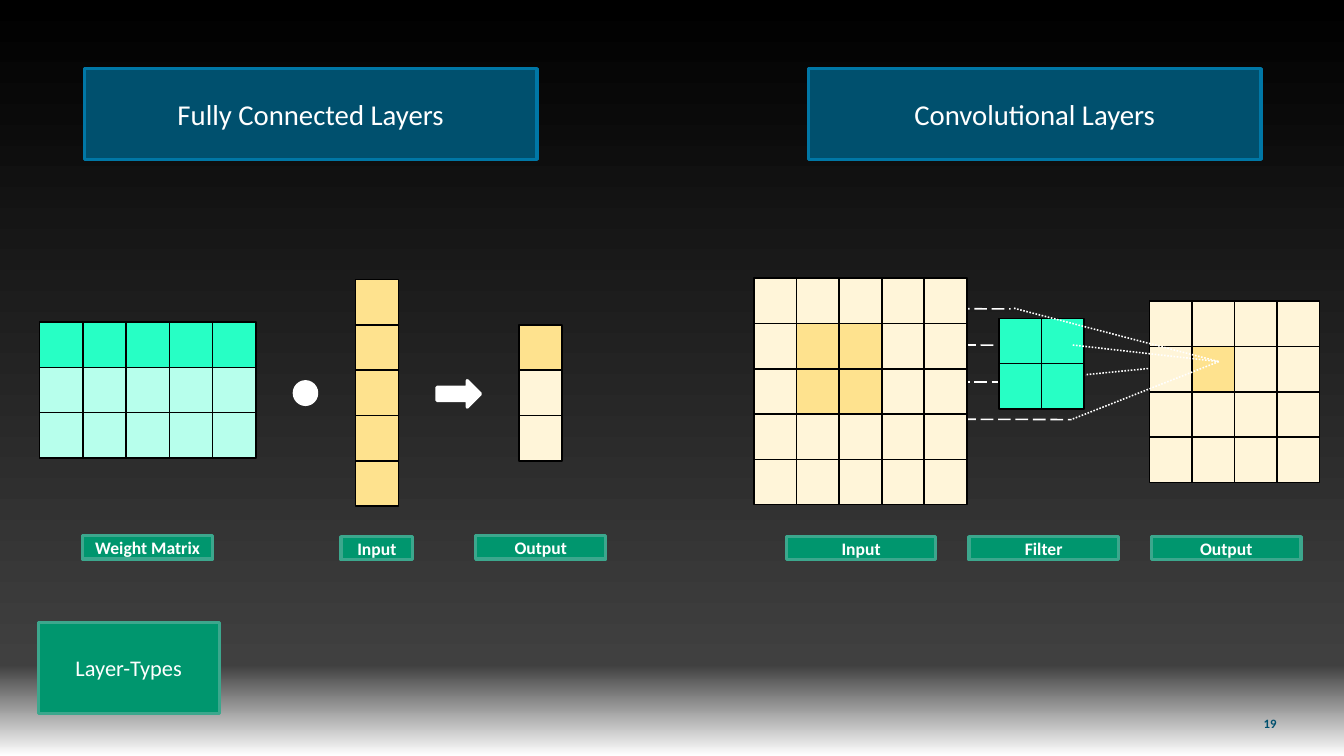
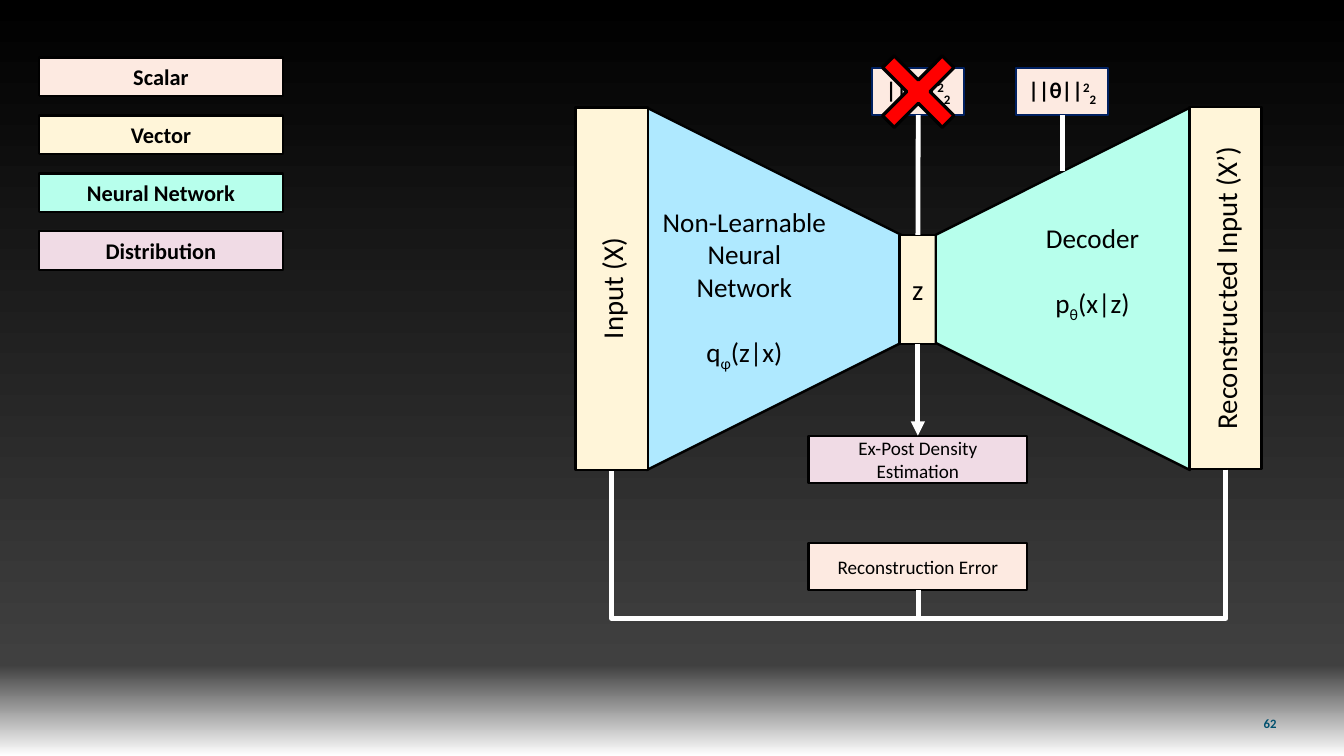
"""Build two slides: neural layer types and a regularised autoencoder diagram."""
from copy import deepcopy
from dataclasses import dataclass

from lxml.etree import SubElement
from pptx import Presentation
from pptx.dml.color import RGBColor
from pptx.enum.dml import MSO_LINE
from pptx.enum.shapes import MSO_CONNECTOR, MSO_SHAPE
from pptx.enum.text import MSO_ANCHOR, PP_ALIGN
from pptx.oxml.ns import qn
from pptx.presentation import Presentation as Deck
from pptx.shapes.autoshape import Shape
from pptx.shapes.connector import Connector
from pptx.slide import Slide
from pptx.util import Pt

FONT = "Calibri"
BLACK = RGBColor(0x00, 0x00, 0x00)
WHITE = RGBColor(0xFF, 0xFF, 0xFF)
CHARCOAL = RGBColor(0x40, 0x40, 0x40)
PETROL = RGBColor(0x00, 0x50, 0x6E)
PETROL_EDGE = RGBColor(0x00, 0x77, 0xA6)
GREEN = RGBColor(0x00, 0x96, 0x6E)
GREEN_EDGE = RGBColor(0x3C, 0xA7, 0x8D)
NAVY = RGBColor(0x00, 0x20, 0x60)
GOLD = RGBColor(0xFE, 0xE2, 0x8E)
CREAM = RGBColor(0xFF, 0xF5, 0xD9)
TEAL = RGBColor(0x27, 0xFF, 0xC5)
MINT = RGBColor(0xB7, 0xFF, 0xEC)
PINK = RGBColor(0xF0, 0xDB, 0xE5)
PEACH = RGBColor(0xFD, 0xEA, 0xE1)
SKY = RGBColor(0xAF, 0xE9, 0xFF)
RED = RGBColor(0xFF, 0x00, 0x00)

BACKDROP = ((0, BLACK), (0.88, CHARCOAL), (1, WHITE))
CELL_H = 28.35
LINE_GAP = 20.4


@dataclass(frozen=True)
class Style:
    fill: RGBColor
    edge: RGBColor = BLACK
    weight: float = 1.5
    size: float = 18
    color: RGBColor = BLACK
    bold: bool = False


@dataclass(frozen=True)
class Box:
    x: float
    y: float
    w: float
    h: float
    style: Style
    text: str = ""
    vert: str = "horz"
    kind: MSO_SHAPE = MSO_SHAPE.RECTANGLE
    rotation: float = 0
    adj: float | None = None


@dataclass(frozen=True)
class Grid:
    x: float
    y: float
    cols: int
    rows: int
    cell_w: float
    fill: RGBColor
    accent: RGBColor
    accent_cells: tuple[tuple[int, int], ...] = ()


@dataclass(frozen=True)
class Line:
    x1: float
    y1: float
    x2: float
    y2: float
    weight: float = 3
    dash: MSO_LINE | None = None


@dataclass(frozen=True)
class Part:
    text: str
    baseline: int = 0
    spacing: int = 0


HEADER = Style(PETROL, PETROL_EDGE, 2, 18, WHITE)
TAG = Style(GREEN, GREEN_EDGE, 2, 14, WHITE)
LABEL = Style(GREEN, GREEN_EDGE, 2, 11, WHITE, True)
SYMBOL = Style(WHITE, WHITE, 2)
VECTOR = Style(CREAM)
NORM = Style(PEACH, NAVY, size=14, bold=True)
ENCODER = Style(SKY, size=17)
DECODER = Style(MINT, size=17)


def set_background(prs: Deck) -> None:
    fill = prs.slide_master.background.fill
    fill.gradient()
    fill.gradient_angle = 270
    stops = prs.slide_master.element.find(".//" + qn("a:gsLst"))
    stops.append(deepcopy(stops[-1]))
    for stop, (position, color) in zip(fill.gradient_stops, BACKDROP):
        stop.position = position
        stop.color.rgb = color


def format_runs(p, style: Style) -> None:
    p.alignment = PP_ALIGN.CENTER
    for r in p.runs:
        r.font.name = FONT
        r.font.size = Pt(style.size)
        r.font.bold = style.bold
        r.font.color.rgb = style.color


def add_box(s: Slide, box: Box) -> Shape:
    sp = s.shapes.add_shape(box.kind, Pt(box.x), Pt(box.y), Pt(box.w), Pt(box.h))
    sp.rotation = box.rotation
    sp.shadow.inherit = False
    sp.fill.solid()
    sp.fill.fore_color.rgb = box.style.fill
    sp.line.color.rgb = box.style.edge
    sp.line.width = Pt(box.style.weight)
    if box.adj is not None:
        sp.adjustments[0] = box.adj
    tf = sp.text_frame
    tf.word_wrap = True
    tf.vertical_anchor = MSO_ANCHOR.MIDDLE
    tf.text = box.text
    format_runs(tf.paragraphs[0], box.style)
    if box.vert != "horz":
        sp.element.find(".//" + qn("a:bodyPr")).set("vert", box.vert)
    return sp


def add_formula(p, style: Style, parts: tuple[Part, ...]) -> None:
    for part in parts:
        r = p.add_run()
        r.text = part.text
        rPr = r._r.get_or_add_rPr()
        if part.baseline:
            rPr.set("baseline", str(part.baseline * 1000))
        if part.spacing:
            rPr.set("spc", str(part.spacing * 100))
    format_runs(p, style)


def add_grid(s: Slide, grid: Grid) -> None:
    for row in range(grid.rows):
        for col in range(grid.cols):
            fill = grid.accent if (row, col) in grid.accent_cells else grid.fill
            add_box(s, Box(grid.x + col * grid.cell_w, grid.y + row * CELL_H,
                           grid.cell_w, CELL_H, Style(fill, weight=1)))


def style_line(cxn: Connector, line: Line) -> None:
    cxn.line.color.rgb = WHITE
    cxn.line.width = Pt(line.weight)
    if line.dash is not None:
        cxn.line.dash_style = line.dash
    SubElement(cxn.element.spPr, qn("a:effectLst"))


def add_line(s: Slide, line: Line) -> Connector:
    cxn = s.shapes.add_connector(MSO_CONNECTOR.STRAIGHT, Pt(line.x1), Pt(line.y1),
                                 Pt(line.x2), Pt(line.y2))
    style_line(cxn, line)
    return cxn


def add_elbow(s: Slide, line: Line, low_y: float) -> None:
    w, h = line.y2 - line.y1, abs(line.x2 - line.x1)
    x = (line.x1 + line.x2 - w) / 2
    y = (line.y1 + line.y2 - h) / 2
    cxn = s.shapes.add_connector(MSO_CONNECTOR.ELBOW, Pt(x), Pt(y), Pt(x + w), Pt(y + h))
    style_line(cxn, line)
    rightward = line.x2 > line.x1
    xfrm = cxn.element.spPr.find(qn("a:xfrm"))
    xfrm.set("rot", str((270 if rightward else 90) * 60000))
    if rightward:
        xfrm.set("flipH", "1")
    bend = round((low_y - line.y1) / w * 100000)
    SubElement(cxn.element.find(".//" + qn("a:avLst")), qn("a:gd"),
               name="adj1", fmla=f"val {bend}")


def add_slide(prs: Deck, number: str) -> Slide:
    s = prs.slides.add_slide(prs.slide_layouts[6])
    tf = s.shapes.add_textbox(Pt(791.3), Pt(442.3), Pt(26), Pt(21)).text_frame
    tf.word_wrap = True
    tf.margin_left = tf.margin_right = 0
    tf.vertical_anchor = MSO_ANCHOR.MIDDLE
    p = tf.paragraphs[0]
    p.text = number
    format_runs(p, Style(WHITE, size=8, color=PETROL, bold=True))
    p.alignment = PP_ALIGN.LEFT
    return s


def build_layer_types(prs: Deck) -> None:
    s = add_slide(prs, "19")
    add_box(s, Box(23.9, 389.8, 113.4, 56.8, TAG, "Layer-Types"))
    for x, text in ((52.8, "Fully Connected Layers"), (506.2, "Convolutional Layers")):
        add_box(s, Box(x, 43, 283.5, 56.8, HEADER, text))
    for x, y, w, text in ((213.5, 336, 45, "Input"), (51.6, 335.5, 81.6, "Weight Matrix"),
                          (297.8, 335.5, 81.6, "Output")):
        add_box(s, Box(x, y, w, 14.5, LABEL, text))
    for i, text in enumerate(("Input", "Filter", "Output")):
        add_box(s, Box(492.5 + i * 114.3, 336, 93.6, 14.5, LABEL, text))

    for grid in (
        Grid(222.5, 175.1, 1, 5, 27, GOLD, GOLD),
        Grid(24.8, 201.7, 5, 3, 27.1, MINT, TEAL, tuple((0, col) for col in range(5))),
        Grid(325, 203.5, 1, 3, 27.1, CREAM, GOLD, ((0, 0),)),
    ):
        add_grid(s, grid)
    add_box(s, Box(184.3, 239, 14, 14.2, SYMBOL, kind=MSO_SHAPE.OVAL))
    add_box(s, Box(273.6, 238.3, 27.3, 16.6, SYMBOL, kind=MSO_SHAPE.RIGHT_ARROW))

    for x1, y1, x2, y2 in ((548.6, 262.3, 671, 262.7), (511.9, 239.1, 632.9, 239.1),
                           (548.6, 215.6, 671, 216.4), (511.9, 193, 632.9, 193.4)):
        add_line(s, Line(x1, y1, x2, y2, 1, MSO_LINE.LONG_DASH))
    rays = [Line(x, y, 763.2, 226.4, 1, MSO_LINE.ROUND_DOT)
            for x, y in ((635, 239), (635, 193), (671.8, 216), (671.8, 262.3))]
    add_line(s, rays[0])
    for grid in (
        Grid(472.2, 174.2, 5, 5, 26.65, CREAM, GOLD, ((1, 1), (1, 2), (2, 1), (2, 2))),
        Grid(625.7, 199.3, 2, 2, 26.65, TEAL, TEAL),
        Grid(719.8, 188.6, 4, 4, 26.65, CREAM, GOLD, ((1, 1),)),
    ):
        add_grid(s, grid)
    for ray in rays[1:]:
        add_line(s, ray)


def build_autoencoder(prs: Deck) -> None:
    s = add_slide(prs, "62")
    legend = (("Scalar", PEACH), ("Vector", CREAM), ("Neural Network", MINT),
              ("Distribution", PINK))
    for i, (text, fill) in enumerate(legend):
        add_box(s, Box(24.4, 35.9 + i * 36.3, 152.8, 24.4, Style(fill, size=14, bold=True), text))

    encoder = add_box(s, Box(371.3, 101.3, 226.8, 159.1, ENCODER,
                             "Non-Learnable Neural Network", "vert270",
                             MSO_SHAPE.TRAPEZOID, 90, 0.5))
    latent = add_box(s, Box(563.4, 147.1, 22.8, 68.2, VECTOR, "z"))
    decoder = add_box(s, Box(552.1, 101.3, 226.8, 159.1, DECODER, "Decoder", "vert",
                             MSO_SHAPE.TRAPEZOID, 270, 0.5))
    decoder.text_frame.margin_left = Pt(3.6 + LINE_GAP)
    for sp, style, letter, sub, rest in ((encoder, ENCODER, "q", "φ", "(z|x)"),
                                         (decoder, DECODER, "p", "θ", "(x|z)")):
        p = sp.text_frame.add_paragraph()
        p.space_before = Pt(LINE_GAP)
        add_formula(p, style, (Part(letter), Part(sub, -25), Part(rest)))

    add_box(s, Box(744.8, 66.9, 45.3, 226.8, VECTOR, "Reconstructed Input (X’)", "vert270"))
    add_box(s, Box(506.4, 340, 136.8, 29.5, Style(PEACH, size=12), "Reconstruction Error"))
    for x in (382.9, 767.5):
        add_elbow(s, Line(x, 294.1, 574.9, 369.5), 387.3)
    add_box(s, Box(360.3, 67.3, 45.4, 226.8, VECTOR, "Input (X)", "vert270"))
    density = add_box(s, Box(506.4, 272.8, 136.8, 29.5, Style(PINK, size=12),
                             "Ex-Post Density Estimation"))
    norms = []
    for x, symbol in ((546.2, "z"), (636.4, "θ")):
        sp = add_box(s, Box(x, 42.6, 57.6, 29.5, NORM))
        add_formula(sp.text_frame.paragraphs[0], NORM,
                    (Part(f"||{symbol}||"), Part("2", 30, -7), Part("2", -25)))
        norms.append(sp)

    arrow = add_line(s, Line(574.8, 215.3, 574.8, 272.8))
    arrow.begin_connect(latent, 2)
    arrow.end_connect(density, 0)
    SubElement(arrow.line._get_or_add_ln(), qn("a:tailEnd"), type="triangle")
    latent_link = add_line(s, Line(575, 72.1, 574.8, 147.1))
    latent_link.begin_connect(norms[0], 2)
    latent_link.end_connect(latent, 0)
    add_line(s, Line(665.2, 72.1, 665.2, 107.3)).begin_connect(norms[1], 2)
    add_box(s, Box(539.1, 21.4, 72, 72, Style(RED, weight=2),
                   kind=MSO_SHAPE.MATH_MULTIPLY, adj=0.144))


def main() -> None:
    prs = Presentation()
    prs.slide_width, prs.slide_height = Pt(841.6), Pt(473.3)
    set_background(prs)
    build_layer_types(prs)
    build_autoencoder(prs)
    prs.save("out.pptx")


if __name__ == "__main__":
    main()
